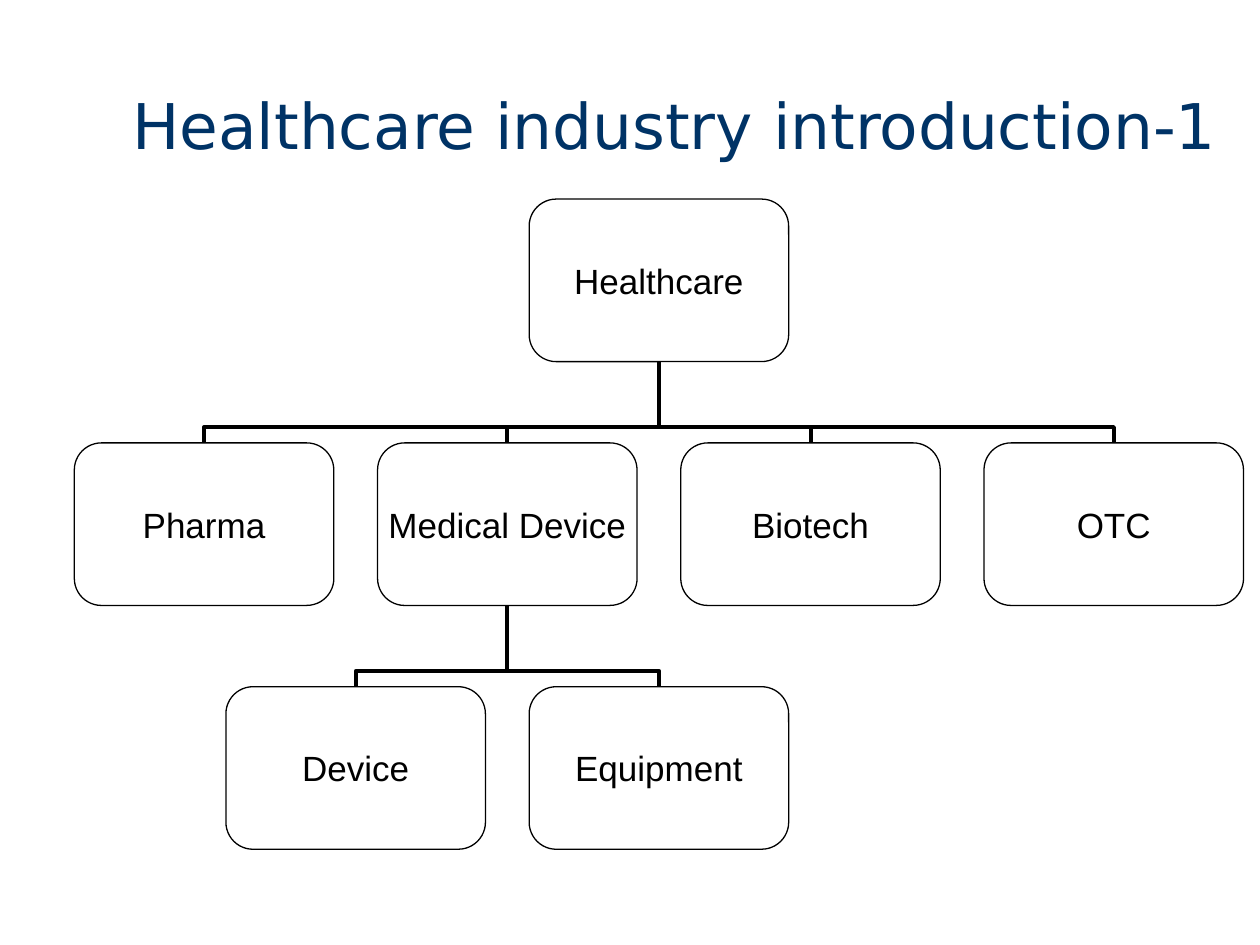
"""Build a slide with an organisation chart of the healthcare industry."""
from lxml import etree
from pptx import Presentation
from pptx import util as u
from pptx.dml.color import RGBColor
from pptx.enum import shapes, text
from pptx.oxml.ns import qn

NAVY = RGBColor(0x00, 0x33, 0x66)
BLACK = RGBColor(0x00, 0x00, 0x00)
WHITE = RGBColor(0xFF, 0xFF, 0xFF)

BOX_WIDTH, BOX_HEIGHT = u.Inches(2.06), u.Inches(1.29)
LEFT, TOP = 0.59, 1.58
COLUMN_STEP = (7.81 - LEFT) / 3
ROW_STEP = BOX_HEIGHT.inches * 1.5

BOXES = [
    ("Healthcare", 1.5, 0, None),
    ("Pharma", 0, 1, "Healthcare"),
    ("Medical Device", 1, 1, "Healthcare"),
    ("Biotech", 2, 1, "Healthcare"),
    ("OTC", 3, 1, "Healthcare"),
    ("Device", 0.5, 2, "Medical Device"),
    ("Equipment", 1.5, 2, "Medical Device"),
]


def add_box(slide, label, column, row):
    shape = slide.shapes.add_shape(
        shapes.MSO_SHAPE.ROUNDED_RECTANGLE,
        u.Inches(LEFT + column * COLUMN_STEP), u.Inches(TOP + row * ROW_STEP),
        BOX_WIDTH, BOX_HEIGHT)
    shape.shadow.inherit = False
    shape.fill.solid()
    shape.fill.fore_color.rgb = WHITE
    shape.line.color.rgb = BLACK
    shape.line.width = u.Pt(0.75)
    frame = shape.text_frame
    frame.margin_left = frame.margin_right = frame.margin_top = frame.margin_bottom = 0
    frame.word_wrap = False
    frame.vertical_anchor = text.MSO_ANCHOR.MIDDLE
    frame.text = label
    paragraph = frame.paragraphs[0]
    paragraph.alignment = text.PP_ALIGN.CENTER
    font = paragraph.runs[0].font
    font.name, font.size, font.color.rgb = "Arial", u.Pt(20), BLACK
    return shape


def add_branch(slide, child, parent):
    connector = slide.shapes.add_connector(shapes.MSO_CONNECTOR.ELBOW, 0, 0, 0, 0)
    connector.begin_connect(child, 0)
    connector.end_connect(parent, 2)
    child_x = child.left + child.width // 2
    parent_x = parent.left + parent.width // 2
    parent_bottom = parent.top + parent.height
    rise, run = child.top - parent_bottom, abs(child_x - parent_x)
    connector.left = (child_x + parent_x - rise) // 2
    connector.top = (child.top + parent_bottom - run) // 2
    connector.width, connector.height = rise, run
    transform = connector._element.spPr.find(qn("a:xfrm"))
    on_right = child_x > parent_x
    transform.set("rot", "16200000" if on_right else "5400000")
    transform.set("flipH", "0" if on_right else "1")
    transform.set("flipV", "1")
    geometry = connector._element.spPr.find(qn("a:prstGeom"))
    guides = geometry.find(qn("a:avLst"))
    etree.SubElement(guides, qn("a:gd"), name="adj1", fmla="val 19400")
    connector.line.color.rgb = BLACK
    connector.line.width = u.Pt(2.25)
    etree.SubElement(connector._element.spPr, qn("a:effectLst"))
    slide.shapes._spTree.insert(3, connector._element)


presentation = Presentation()
presentation.slide_width, presentation.slide_height = u.Inches(10), u.Inches(7.5)
slide = presentation.slides.add_slide(presentation.slide_layouts[5])

title = slide.shapes.title
title.left, title.top = u.Inches(0.95), u.Inches(0.64)
title.width, title.height = u.Inches(8.93), u.Inches(0.7)
title.text_frame.text = "Healthcare industry introduction-1"
title.text_frame.vertical_anchor = text.MSO_ANCHOR.BOTTOM
title.text_frame.auto_size = text.MSO_AUTO_SIZE.SHAPE_TO_FIT_TEXT
title_paragraph = title.text_frame.paragraphs[0]
title_paragraph.alignment = text.PP_ALIGN.LEFT
title_font = title_paragraph.runs[0].font
title_font.name, title_font.size, title_font.color.rgb = "DejaVu Sans", u.Pt(36), NAVY

boxes = {}
for label, column, row, parent in BOXES:
    boxes[label] = add_box(slide, label, column, row)
    if parent:
        add_branch(slide, boxes[label], boxes[parent])

presentation.save("out.pptx")
